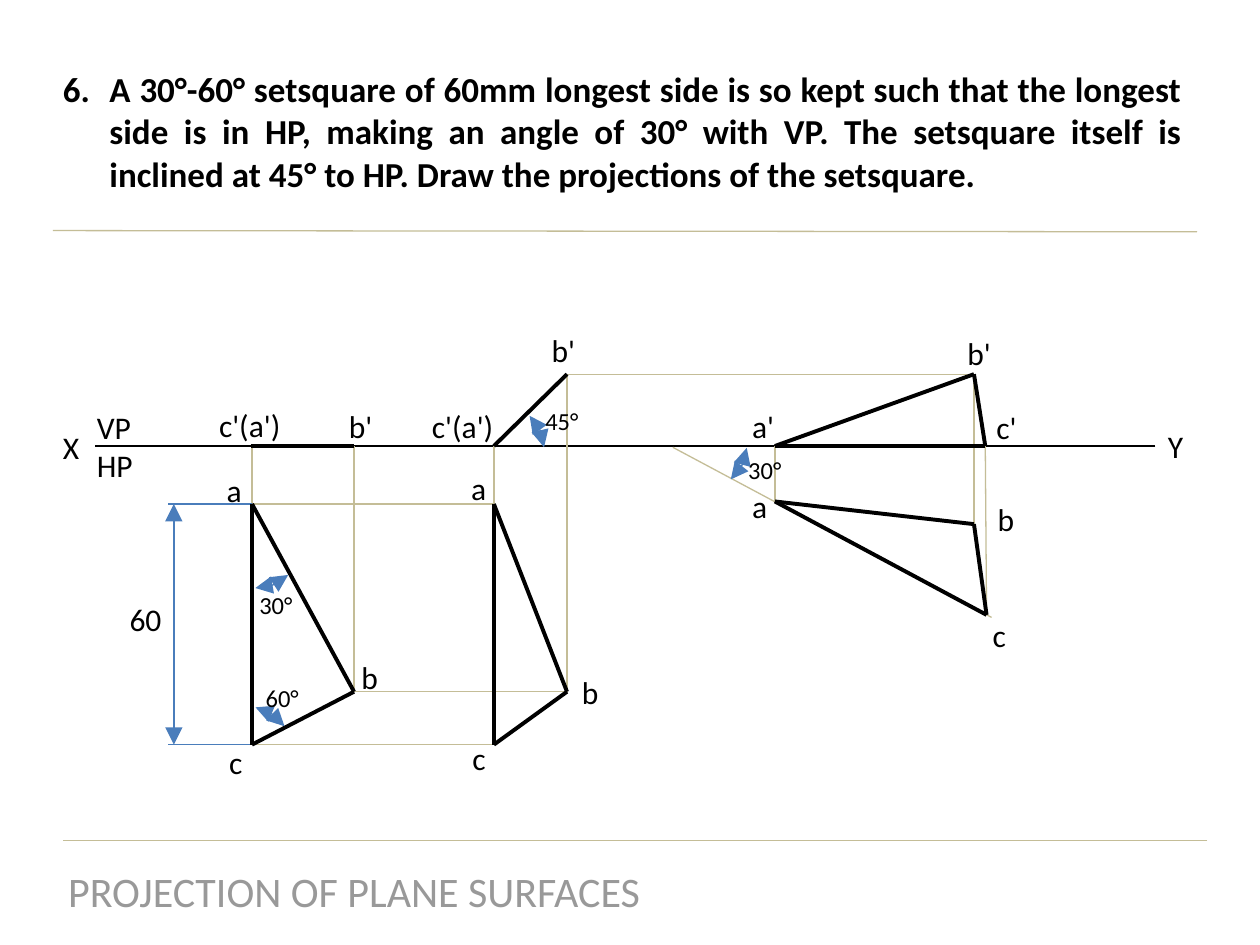
import pptx
import pptx.util
import pptx.dml.color
import pptx.enum.shapes
import pptx.enum.text
import pptx.oxml
import itertools
from dataclasses import dataclass
from pptx.util import Inches


@dataclass(frozen=True)
class Theme:
    """Colours, font and sizes of the slide."""
    ink: str = "000000"
    guide: str = "C4BD97"
    dim: str = "4A7DBB"
    faint: str = "999999"
    font: str = "Calibri"
    small: int = 14
    label: int = 18
    head: int = 20
    foot: int = 24
    thin: float = 0.75
    bold: float = 2.25


THEME = Theme()
ALIGN = pptx.enum.text.PP_ALIGN
BASE = 3.54


def add_node(root, tag, **attrs):
    """Append a drawing element with attributes and return it."""
    node = root.makeelement(pptx.oxml.ns.qn(tag), attrs)
    root.append(node)
    return node


def style(shape, color, width, arrows=False):
    """Set the outline of a line or arc, with optional arrowheads."""
    shape.line.color.rgb = pptx.dml.color.RGBColor.from_string(color)
    shape.line.width = pptx.util.Pt(width)
    if arrows:
        for tag in ("a:headEnd", "a:tailEnd"):
            add_node(shape.line._get_or_add_ln(), tag, type="triangle", w="lg", len="lg")


def add_line(slide, start, end, color=THEME.guide, width=THEME.thin, arrows=False):
    """Draw a straight line between two points."""
    ends = [Inches(v) for v in (*start, *end)]
    line = slide.shapes.add_connector(pptx.enum.shapes.MSO_CONNECTOR.STRAIGHT, *ends)
    style(line, color, width, arrows)
    add_node(line._element.spPr, "a:effectLst")


def add_edges(slide, *points):
    """Draw bold edges through points, one after another."""
    for start, end in itertools.pairwise(points):
        add_line(slide, start, end, THEME.ink, THEME.bold)


def add_arc(slide, left, top, turn, stop):
    """Draw a turned angle mark with two arrowheads."""
    kind = pptx.enum.shapes.MSO_SHAPE.ARC
    arc = slide.shapes.add_shape(kind, Inches(left), Inches(top), Inches(0.81), Inches(0.73))
    arc.adjustments[0], arc.adjustments[1] = 184.27, stop
    arc.rotation = turn
    arc.shadow.inherit = False
    arc.fill.background()
    style(arc, THEME.dim, THEME.thin, True)


def add_text(slide, text, left, top, width=0.35, height=0.4, size=THEME.label,
             color=THEME.ink, bold=False, align=ALIGN.LEFT, wrap=False, start=None):
    """Place text, numbered from start if that is given."""
    box = slide.shapes.add_textbox(Inches(left), Inches(top), Inches(width), Inches(height))
    frame = box.text_frame
    frame.word_wrap = wrap
    frame.text = text
    for para in frame.paragraphs:
        para.alignment = align
        if start:
            props = para._p.get_or_add_pPr()
            props.set("marL", str(Inches(0.37)))
            props.set("indent", str(Inches(-0.37)))
            add_node(add_node(props, "a:buClr"), "a:srgbClr", val=color)
            add_node(props, "a:buAutoNum", type="arabicPeriod", startAt=str(start))
        font = para.runs[0].font
        font.name, font.size, font.bold = THEME.font, pptx.util.Pt(size), bold
        font.color.rgb = pptx.dml.color.RGBColor.from_string(color)


def add_frame(slide):
    """Add the problem, the rules, the footer and the XY line."""
    add_text(slide, "A 30°-60° setsquare of 60mm longest side is so kept such that the "
             "longest side is in HP, making an angle of 30° with VP. The setsquare itself "
             "is inclined at 45° to HP. Draw the projections of the setsquare.",
             0.4, 0.49, 9.08, 1.11, size=THEME.head, bold=True,
             align=ALIGN.JUSTIFY, wrap=True, start=6)
    add_line(slide, (9.5, 1.84), (0.42, 1.83))
    add_line(slide, (9.58, 6.67), (0.5, 6.67))
    add_text(slide, "PROJECTION OF PLANE SURFACES", 0.42, 6.82, 4.78, 0.5,
             size=THEME.foot, color=THEME.faint, align=ALIGN.CENTER)
    add_line(slide, (9.17, BASE), (0.75, BASE), THEME.ink)
    add_text(slide, "VP\nHP", 0.67, 3.19, 0.49, 0.71)


def add_views(slide):
    """Draw the three stages of the projection."""
    a1, b1, c1 = (2, 4), (2.81, 5.49), (2, 5.91)
    a2, b2, c2 = (3.92, 4), (4.5, 5.49), (3.92, 5.91)
    a3, b3, c3 = (6.15, 3.98), (7.73, 4.16), (7.83, 4.88)
    top2, top3 = (4.5, 2.97), (7.73, 2.97)
    foot2, left3, right3 = (3.92, BASE), (6.15, BASE), (7.82, BASE)
    guides = [(a1, (2, BASE)), (b1, (2.81, BASE)), (c2, foot2), (a1, a2), (c1, c2),
              (b1, b2), (b2, top2), (top3, top2), (b3, top3), (c3, right3),
              (a3, left3), ((5.34, 3.55), (7.87, 4.9))]
    for start, end in guides:
        add_line(slide, start, end)
    for point in (a1, c1):
        add_line(slide, point, (1.33, point[1]), THEME.dim)
    add_line(slide, (1.38, 4), (1.38, 5.91), THEME.dim, arrows=True)
    for a, b, c in ((a1, b1, c1), (a2, b2, c2)):
        add_edges(slide, a, b, c, a)
    add_edges(slide, b3, a3, c3, b3)
    add_edges(slide, left3, right3, top3, left3)
    add_edges(slide, (1.99, BASE), (2.81, BASE))
    add_edges(slide, foot2, top2)


def add_marks(slide):
    """Add angle marks and point names."""
    arcs = [(1.65, 3.9, 105, 209.42), (1.51, 5.61, 340.3, 208.88),
            (3.51, 3.18, 12.6, 208.88), (5.15, 3.12, 63.5, 209.42)]
    for arc in arcs:
        add_arc(slide, *arc)
    angles = [("30°", 1.96, 4.63), ("60°", 2.01, 5.37),
              ("45°", 4.23, 3.17), ("30°", 5.84, 3.56)]
    for angle in angles:
        add_text(slide, *angle, width=0.56, height=0.34, size=THEME.small)
    names = [("X", 0.4, 3.35), ("Y", 9.17, 3.34), ("60", 0.93, 4.71, 0.46),
             ("a", 1.7, 3.69), ("b", 2.77, 5.17), ("c", 1.72, 5.85),
             ("a", 3.64, 3.67), ("b", 4.52, 5.29), ("c", 3.65, 5.82),
             ("a", 5.87, 3.82), ("b", 7.82, 3.92), ("c", 7.78, 4.84),
             ("c'(a')", 1.64, 3.17, 0.7), ("b'", 2.67, 3.18, 0.39),
             ("c'(a')", 3.33, 3.18, 0.7), ("b'", 4.28, 2.58, 0.39),
             ("a'", 5.87, 3.18, 0.38), ("b'", 7.58, 2.6, 0.39),
             ("c'", 7.81, 3.19, 0.39)]
    for name in names:
        add_text(slide, *name)


def main():
    """Build and save the slide."""
    deck = pptx.Presentation()
    deck.slide_width, deck.slide_height = Inches(10), Inches(7.5)
    slide = deck.slides.add_slide(deck.slide_layouts[6])
    add_frame(slide)
    add_views(slide)
    add_marks(slide)
    deck.save("out.pptx")


if __name__ == "__main__":
    main()
